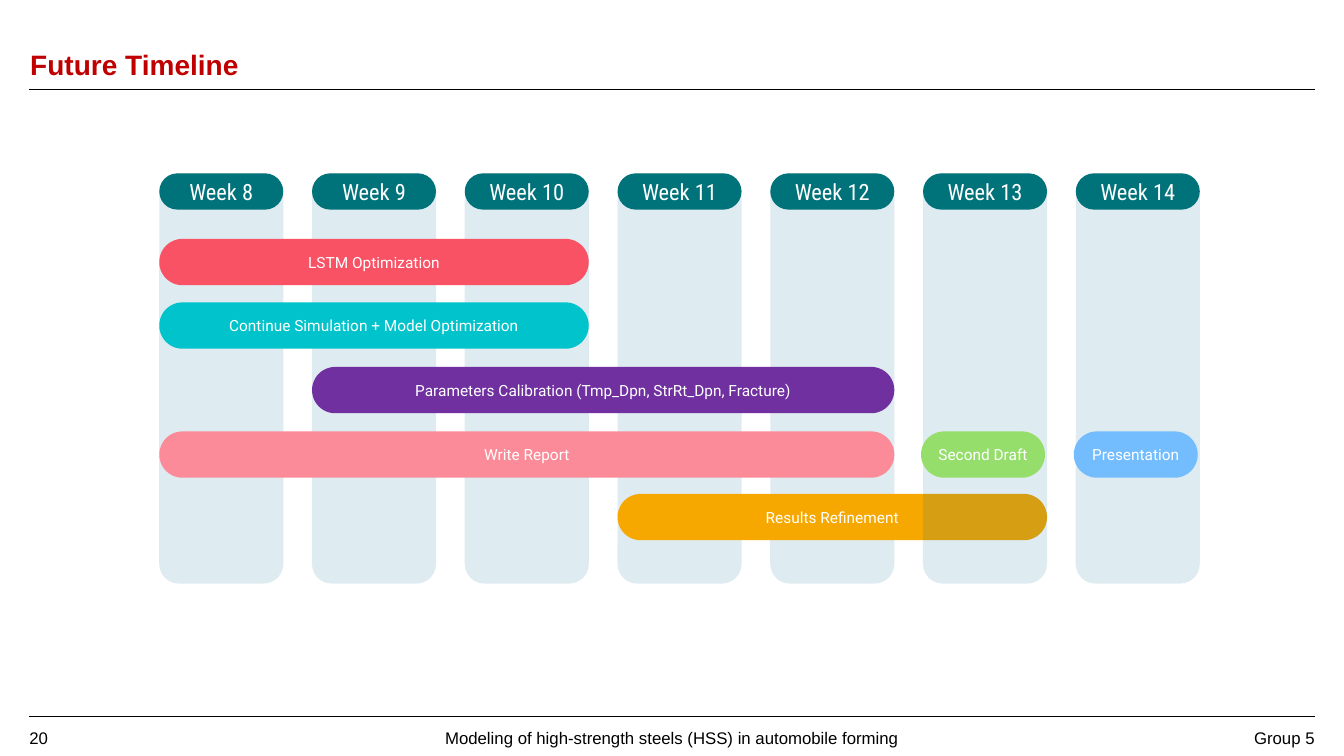
"""Build the Future Timeline slide: week columns with task bars across them."""
from dataclasses import dataclass

from lxml import etree
from pptx import Presentation
from pptx.dml.color import RGBColor
from pptx.enum.shapes import MSO_CONNECTOR, MSO_SHAPE
from pptx.enum.text import MSO_ANCHOR, MSO_AUTO_SIZE, PP_ALIGN
from pptx.oxml.ns import qn
from pptx.shapes.autoshape import Shape
from pptx.shapes.shapetree import GroupShapes, SlideShapes
from pptx.slide import Slide
from pptx.text.text import TextFrame
from pptx.util import Inches, Pt

ROUNDED = MSO_SHAPE.ROUNDED_RECTANGLE
STRAIGHT = MSO_CONNECTOR.STRAIGHT
TOP, MIDDLE, BOTTOM = MSO_ANCHOR.TOP, MSO_ANCHOR.MIDDLE, MSO_ANCHOR.BOTTOM
LEFT, CENTER, RIGHT = PP_ALIGN.LEFT, PP_ALIGN.CENTER, PP_ALIGN.RIGHT
NO_AUTOFIT = MSO_AUTO_SIZE.NONE

COLORS = {
    "title": "C00000", "ink": "000000", "white": "FFFFFF",
    "column": "026796", "week": "007279",
    "lstm": "F95265", "simulation": "00C3CB", "calibration": "7030A0",
    "report": "FB8B98", "refinement": "F6A800", "draft": "96DE6C",
    "presentation": "73BDFF",
}
FIRST_WEEK, LAST_WEEK = 8, 14
FIRST_LEFT, LAST_LEFT = 1.58, 10.67
WEEK_PITCH = (LAST_LEFT - FIRST_LEFT) / (LAST_WEEK - FIRST_WEEK)
WEEK_WIDTH, WEEK_TOP = 1.23, 1.72
COLUMN_HEIGHT, HEADER_HEIGHT, TASK_HEIGHT = 4.07, 0.36, 0.46
COLUMN_ALPHA = 13000
ROW_TOPS = (2.37, 3.0, 3.64, 4.28, 4.9)
RULE_LEFT, RULE_RIGHT = 0.29, 13.04


@dataclass(frozen=True)
class Task:
    """A bar that runs from one week to another in a row."""
    label: str
    row: int
    start: int
    end: int
    color: str
    shift: float = 0


@dataclass(frozen=True)
class FooterItem:
    """A piece of footer text and its box."""
    text: str
    left: float
    top: float
    width: float
    height: float
    align: PP_ALIGN
    anchor: MSO_ANCHOR


TASKS = (
    Task("Continue Simulation + Model Optimization", 1, 8, 10, "simulation"),
    Task("Parameters Calibration (Tmp_Dpn, StrRt_Dpn, Fracture)", 2, 9, 12, "calibration"),
    Task("LSTM Optimization", 0, 8, 10, "lstm"),
    Task("Write Report", 3, 8, 12, "report"),
    Task("Results Refinement", 4, 11, 13, "refinement"),
)
CLOSING_TASKS = (
    Task("Second Draft", 3, 13, 13, "draft", -0.02),
    Task("Presentation", 3, 14, 14, "presentation", -0.02),
)
FOOTER = (
    FooterItem("20", 0.29, 7.22, 0.92, 0.28, LEFT, TOP),
    FooterItem("Modeling of high-strength steels (HSS) in automobile forming",
               0.42, 7.16, 12.49, 0.31, CENTER, MIDDLE),
    FooterItem("Group 5", 11.34, 7.16, 1.7, 0.31, RIGHT, MIDDLE),
)


def rgb(color: str) -> RGBColor:
    """Look up a named colour."""
    return RGBColor.from_string(COLORS[color])


def week_left(week: int) -> float:
    """Give the left edge of a week's column in inches."""
    return FIRST_LEFT + (week - FIRST_WEEK) * WEEK_PITCH


def write(frame: TextFrame, text: str, size: float, font: str, color: str,
          align: PP_ALIGN, anchor: MSO_ANCHOR, inset: float = 0) -> None:
    """Fill a text frame with one formatted paragraph."""
    frame.text = text
    frame.word_wrap = True
    frame.auto_size = NO_AUTOFIT
    frame.vertical_anchor = anchor
    frame.margin_left = frame.margin_right = Inches(inset)
    frame.margin_top = frame.margin_bottom = Inches(inset)
    paragraph = frame.paragraphs[0]
    paragraph.alignment = align
    paragraph.font.size = Pt(size)
    paragraph.font.name = font
    paragraph.font.color.rgb = rgb(color)


def add_bar(shapes: SlideShapes | GroupShapes, left: float, top: float, width: float,
            height: float, color: str, rounding: float = 0.5) -> Shape:
    """Draw a flat rounded bar."""
    bar = shapes.add_shape(ROUNDED, Inches(left), Inches(top), Inches(width), Inches(height))
    bar.adjustments[0] = rounding
    bar.shadow.inherit = False
    bar.fill.solid()
    bar.fill.fore_color.rgb = rgb(color)
    bar.line.fill.background()
    return bar


def add_week(slide: Slide, week: int) -> None:
    """Draw a week's translucent column with its header."""
    shapes = slide.shapes.add_group_shape().shapes
    left = week_left(week)
    column = add_bar(shapes, left, WEEK_TOP, WEEK_WIDTH, COLUMN_HEIGHT, "column", 0.158)
    tint = column.fill._xPr.find(qn("a:solidFill"))[0]
    etree.SubElement(tint, qn("a:alpha"), val=str(COLUMN_ALPHA))
    header = add_bar(shapes, left, WEEK_TOP, WEEK_WIDTH, HEADER_HEIGHT, "week")
    write(header.text_frame, f"Week {week}", 16, "Roboto Condensed", "white",
          CENTER, MIDDLE, 0.1)


def add_task(slide: Slide, task: Task) -> None:
    """Draw a task bar over its weeks."""
    width = (task.end - task.start) * WEEK_PITCH + WEEK_WIDTH
    bar = add_bar(slide.shapes, week_left(task.start) + task.shift, ROW_TOPS[task.row],
                  width, TASK_HEIGHT, task.color)
    write(bar.text_frame, task.label, 11, "Roboto", "white", CENTER, MIDDLE, 0.1)


def add_rule(slide: Slide, top: float) -> None:
    """Draw a thin rule across the slide."""
    rule = slide.shapes.add_connector(STRAIGHT, Inches(RULE_LEFT), Inches(top),
                                      Inches(RULE_RIGHT), Inches(top))
    rule.line.color.rgb = rgb("ink")
    rule.line.width = Pt(0.5)
    etree.SubElement(rule._element.spPr, qn("a:effectLst"))


def add_footer_item(slide: Slide, item: FooterItem) -> None:
    """Write a footer text."""
    box = slide.shapes.add_textbox(Inches(item.left), Inches(item.top),
                                   Inches(item.width), Inches(item.height))
    write(box.text_frame, item.text, 12, "Arial", "ink", item.align, item.anchor)


def set_title(slide: Slide, text: str) -> None:
    """Place and format the title."""
    title = slide.shapes.title
    title.left, title.top = Inches(0.3), Inches(0.22)
    title.width, title.height = Inches(9.99), Inches(0.59)
    write(title.text_frame, text, 20, "Arial", "title", LEFT, BOTTOM)
    paragraph = title.text_frame.paragraphs[0]
    paragraph.font.bold = True
    paragraph.line_spacing = 0.9


def main() -> None:
    """Build and save the slide."""
    deck = Presentation()
    deck.slide_width, deck.slide_height = Inches(13.33), Inches(7.5)
    slide = deck.slides.add_slide(deck.slide_layouts.get_by_name("Title Only"))
    for top in (0.89, 7.11):
        add_rule(slide, top)
    for item in FOOTER:
        add_footer_item(slide, item)
    set_title(slide, "Future Timeline")
    for weeks, tasks in ((range(FIRST_WEEK, 13), TASKS),
                         (range(13, LAST_WEEK + 1), CLOSING_TASKS)):
        for week in weeks:
            add_week(slide, week)
        for task in tasks:
            add_task(slide, task)
    deck.save("out.pptx")


if __name__ == "__main__":
    main()
